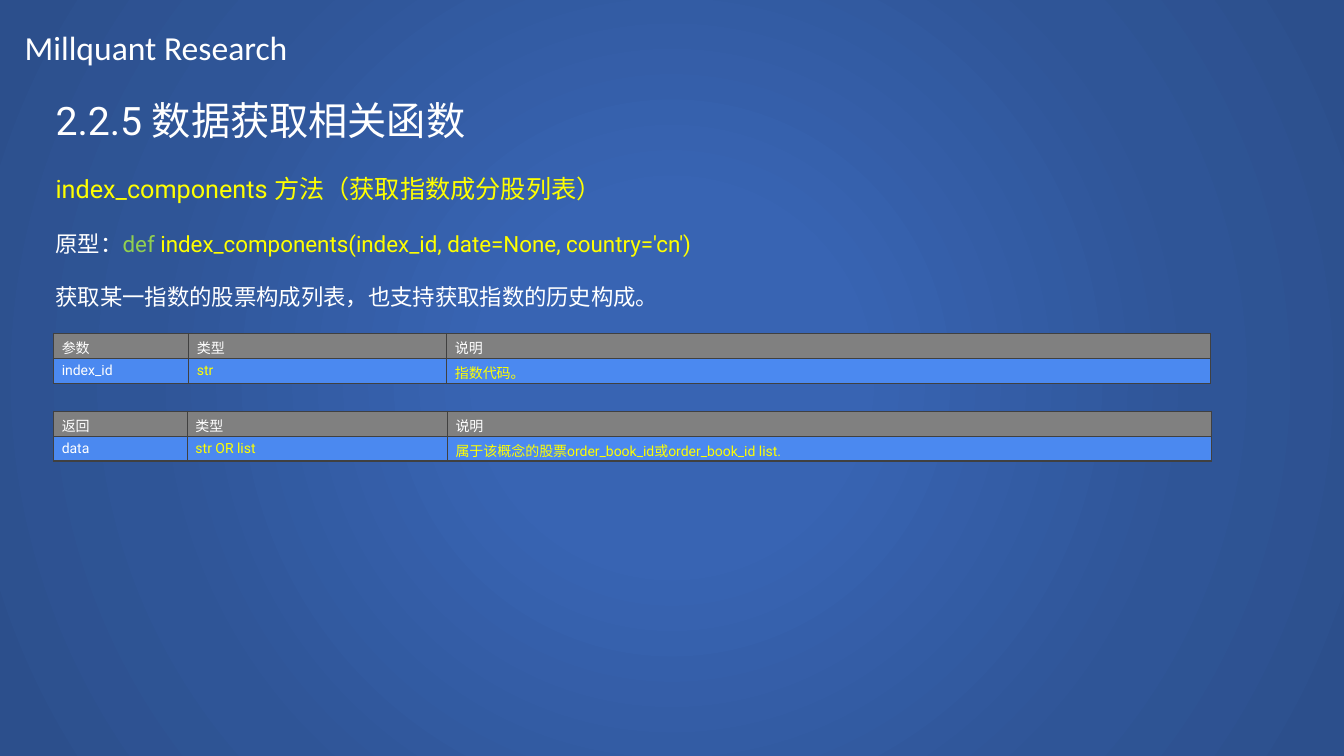
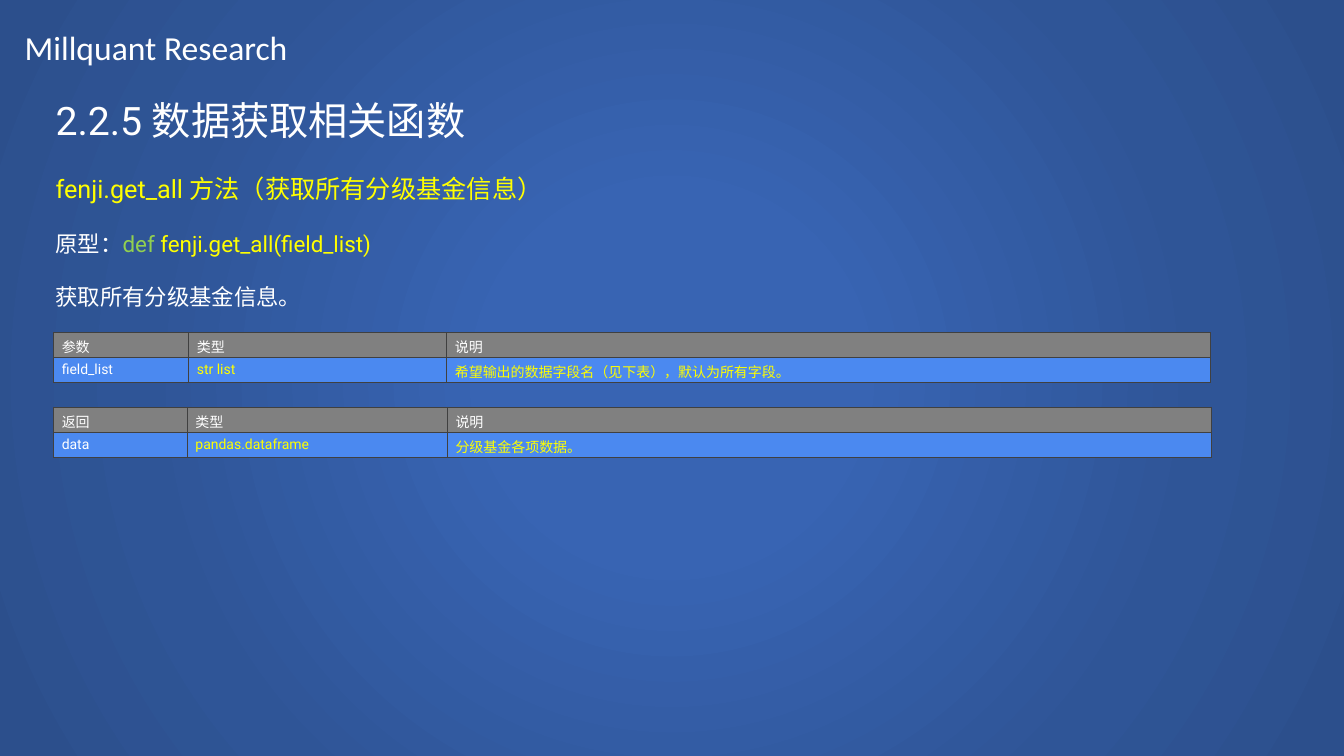
from lxml import etree
from pptx import Presentation
from pptx.dml.color import RGBColor
from pptx.enum.shapes import MSO_SHAPE as Shape
from pptx.enum.text import MSO_ANCHOR as Anchor, MSO_AUTO_SIZE as AutoSize
from pptx.oxml import parse_xml
from pptx.util import Inches, Pt

WHITE = RGBColor(0xFF, 0xFF, 0xFF)
YELLOW = RGBColor(0xFF, 0xFF, 0x00)
GREEN = RGBColor(0x92, 0xD0, 0x50)
GREY = RGBColor(0x80, 0x80, 0x80)
BLUE = RGBColor(0x4B, 0x89, 0xF0)
BORDER = RGBColor(0x40, 0x40, 0x40)
GLOW = [(0, RGBColor(0x38, 0x64, 0xB3)), (23, RGBColor(0x38, 0x64, 0xB3)),
        (69, RGBColor(0x2F, 0x55, 0x97)), (97, RGBColor(0x2C, 0x4F, 0x8C))]

HEADER = "Millquant Research"
TITLE = "2.2.5 数据获取相关函数"
NAMESPACE = 'xmlns:a="http://schemas.openxmlformats.org/drawingml/2006/main"'

# Each table: top row on the grid, heading of the first column, body cells
PAGES = [
    {
        "method": "index_components 方法（获取指数成分股列表）",
        "prototype": "index_components(index_id, date=None, country='cn')",
        "summary": "获取某一指数的股票构成列表，也支持获取指数的历史构成。",
        "tables": [
            (44.1, "参数", ["index_id", "str", "指数代码。"]),
            (54.4, "返回", ["data", "str OR list",
                          "属于该概念的股票order_book_id或order_book_id list."]),
        ],
    },
    {
        "method": "fenji.get_all 方法（获取所有分级基金信息）",
        "prototype": "fenji.get_all(field_list)",
        "summary": "获取所有分级基金信息。",
        "tables": [
            (44, "参数", ["field_list", "str list",
                        "希望输出的数据字段名（见下表），默认为所有字段。"]),
            (53.9, "返回", ["data", "pandas.dataframe", "分级基金各项数据。"]),
        ],
    },
]

deck = Presentation()
deck.slide_width, deck.slide_height = Inches(13.33), Inches(7.5)

# The slide is a grid of 100 columns and 100 rows
COLUMN, ROW = deck.slide_width / 100, deck.slide_height / 100
TABLE_LEFT, TABLE_ROW = 4, 3.2
TABLE_COLUMNS = [(10.05, 19.2, 56.85), (9.95, 19.35, 56.85)]


def add_text_box(page, left, top, width, height):
    box = page.shapes.add_textbox(int(left * COLUMN), int(top * ROW),
                                  int(width * COLUMN), int(height * ROW))
    box.text_frame.word_wrap = True
    box.text_frame.auto_size = AutoSize.SHAPE_TO_FIT_TEXT
    return box.text_frame


def add_run(para, text, size, color, font="Roboto"):
    span = para.add_run()
    span.text = text
    span.font.size = Pt(size)
    span.font.name = font
    span.font.color.rgb = color


for content in PAGES:
    page = deck.slides.add_slide(deck.slide_layouts[6])

    # Background glow
    glow = page.shapes.add_shape(Shape.RECTANGLE, 0, 0,
                                 deck.slide_width, deck.slide_height)
    glow.shadow.inherit = False
    glow.line.fill.background()
    glow.fill.gradient()
    stops = "".join(f'<a:gs pos="{share * 1000}"><a:srgbClr val="{color}"/></a:gs>'
                    for share, color in GLOW)
    gradient = parse_xml(
        f'<a:gradFill {NAMESPACE} rotWithShape="1"><a:gsLst>{stops}</a:gsLst>'
        '<a:path path="circle"><a:fillToRect l="50000" t="50000" r="50000" b="50000"/>'
        '</a:path></a:gradFill>')
    properties = glow.element.spPr
    properties.replace(properties.find("{*}gradFill"), gradient)

    # Title, method, prototype and summary: space before, then runs
    body = add_text_box(page, 3.4, 12.1, 88.3, 59.2)
    lines = [
        (0, 28, [(TITLE, WHITE)]),
        (21, 18, [(content["method"], YELLOW)]),
        (19, 16, [("原型：", WHITE), ("def ", GREEN), (content["prototype"], YELLOW)]),
        (19, 16, [(content["summary"], WHITE)]),
    ]
    for index, (gap, size, runs) in enumerate(lines):
        para = body.add_paragraph() if index else body.paragraphs[0]
        if gap:
            para.space_before = Pt(gap)
        for text, color in runs:
            add_run(para, text, size, color)

    # Header
    header = add_text_box(page, 1.1, 2.9, 37.8, 6.7)
    add_run(header.paragraphs[0], HEADER, 24, WHITE, "Calibri")

    # Parameter and return tables
    for (top, heading, values), widths in zip(content["tables"], TABLE_COLUMNS):
        rows = [[heading, "类型", "说明"], values]
        table = page.shapes.add_table(
            len(rows), len(widths), int(TABLE_LEFT * COLUMN), int(top * ROW),
            int(sum(widths) * COLUMN), int(len(rows) * TABLE_ROW * ROW)).table
        table.first_row = table.horz_banding = False
        for column, width in zip(table.columns, widths):
            column.width = int(width * COLUMN)
        for row_index, texts in enumerate(rows):
            table.rows[row_index].height = int(TABLE_ROW * ROW)
            for column_index, text in enumerate(texts):
                cell = table.cell(row_index, column_index)
                cell.vertical_anchor = Anchor.MIDDLE
                cell.margin_left = cell.margin_right = Inches(0.08)
                cell.margin_top = cell.margin_bottom = Inches(0.04)
                for side in ("lnL", "lnR", "lnT", "lnB"):
                    cell_properties = cell._tc.get_or_add_tcPr()
                    cell_properties.append(etree.fromstring(
                        f'<a:{side} {NAMESPACE} w="{Pt(1)}"><a:solidFill>'
                        f'<a:srgbClr val="{BORDER}"/></a:solidFill></a:{side}>'))
                cell.fill.solid()
                cell.fill.fore_color.rgb = BLUE if row_index else GREY
                color = YELLOW if row_index and column_index else WHITE
                add_run(cell.text_frame.paragraphs[0], text, 10, color)

deck.save("out.pptx")
